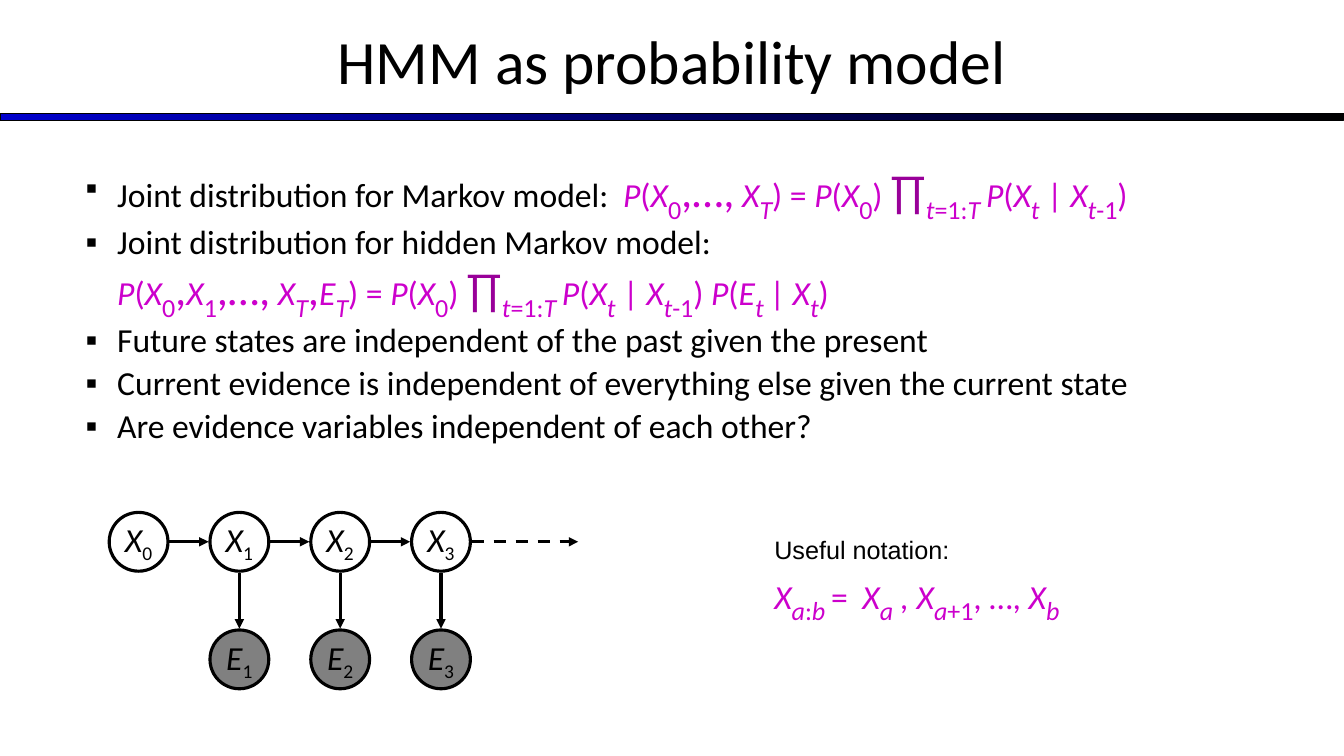
"""Build the slide that presents an HMM as a probability model."""
from lxml import etree
from pptx import Presentation
from pptx.dml import color as dml
from pptx.enum import dml as dash, shapes, text
from pptx.oxml import ns
from pptx.util import Pt

black, pink = "000000", "CC00CC"
looks = {
    "n": (black, 0, dict(size=Pt(24), name="Calibri", italic=False)),
    "v": (black, 0, dict(size=Pt(24), name="Calibri", italic=True)),
    "d": (black, -25000, dict(size=Pt(24), name="Calibri", italic=False)),
    "w": (black, 0, dict(size=Pt(18), name="Arial", italic=False)),
    "h": (black, 0, dict(size=Pt(44), name="Calibri", italic=False)),
    "i": (pink, 0, dict(size=Pt(24), name="Calibri", italic=True)),
    "r": (pink, 0, dict(size=Pt(24), name="Calibri", italic=False)),
    "b": (pink, 0, dict(size=Pt(32), name="Calibri", italic=False)),
    "s": (pink, -25000, dict(size=Pt(32), name="Calibri", italic=True)),
    "u": (pink, -25000, dict(size=Pt(32), name="Calibri", italic=False)),
    "p": ("990099", 0, dict(size=Pt(32), name="Calibri", italic=False)),
}


def paint(tint, code):
    tint.rgb = dml.RGBColor.from_string(code)


def write(par, marks):
    for mark in marks.split("~"):
        if mark == "/":
            par.add_line_break()
            etree.SubElement(par._p[-1], ns.qn("a:rPr"), sz="2400")
            continue
        run = par.add_run()
        run.text = mark[1:]
        code, base, form = looks[mark[0]]
        for key, val in form.items():
            setattr(run.font, key, val)
        paint(run.font.color, code)
        if base:
            run._r.get_or_add_rPr().set("baseline", str(base))


deck = Presentation()
deck.slide_width, deck.slide_height = Pt(960), Pt(540)
slide = deck.slides.add_slide(deck.slide_layouts[1])
title, body = slide.placeholders
draw = slide.shapes

bar = draw.add_shape(shapes.MSO_SHAPE.RECTANGLE, 0, Pt(81), Pt(960), Pt(5))
bar.shadow.inherit = False
bar.fill.gradient()
bar.fill.gradient_angle = 0
for stop, code in zip(bar.fill.gradient_stops, ("0000CC", black)):
    paint(stop.color, code)
paint(bar.line.color, black)
bar.line.width = Pt(0.75)

places = [(title, (0, -2, 960, 90)), (body, (18, 108, 894, 402))]
for box, spot in places:
    box.left, box.top, box.width, box.height = map(Pt, spot)
    box.text_frame.auto_size = text.MSO_AUTO_SIZE.NONE
title.text_frame.vertical_anchor = text.MSO_ANCHOR.MIDDLE
head = title.text_frame.paragraphs[0]
head.alignment = text.PP_ALIGN.CENTER
write(head, "hHMM as probability model")

chain = "iP~r(~iX~u0~r) ~p∏~st~u=1:~sT ~iP~r(~iX~st~r | ~iX~st~u-1~r)"
points = [
    "nJoint distribution for Markov model: ~w ~iP~r(~iX~u0~b,…,~i X~sT~r) = ~" + chain,
    "nJoint distribution for hidden Markov model:~/~iP~r(~iX~u0~b,~iX~u1~b,…,~i X~sT"
    "~b,~iE~sT~r) = ~" + chain + "~r ~iP~r(~iE~st ~r| ~iX~st~r)",
    "nFuture states are independent of the past given the present",
    "nCurrent evidence is independent of everything else given the current state",
    "nAre evidence variables independent of each other?",
]
frame = body.text_frame
frame.margin_top = Pt(9)
for k, marks in enumerate(points):
    par = frame.add_paragraph() if k else frame.paragraphs[0]
    par.line_spacing = 0.9
    par.space_before = Pt(4.8 if k else 0)
    props = par._p.get_or_add_pPr()
    props.set("marL", str(Pt(58.5)))
    props.set("indent", str(Pt(-22.5)))
    tint = etree.SubElement(props, ns.qn("a:buClr"))
    etree.SubElement(tint, ns.qn("a:srgbClr"), val=black)
    etree.SubElement(props, ns.qn("a:buChar"), char="▪")
    write(par, marks)

left, step, size, top, low = 78, 72, 42, 366, 450
mid = size / 2
nodes = [("X", k, top, "FFFFFF") for k in range(4)]
nodes += [("E", k, low, "808080") for k in range(1, 4)]
for name, k, y, code in nodes:
    node = draw.add_shape(shapes.MSO_SHAPE.OVAL, Pt(left + k * step), Pt(y), Pt(size), Pt(size))
    node.shadow.inherit = False
    node.fill.solid()
    paint(node.fill.fore_color, code)
    paint(node.line.color, black)
    node.line.width = Pt(2.25)
    frame = node.text_frame
    frame.word_wrap = False
    frame.vertical_anchor = text.MSO_ANCHOR.MIDDLE
    frame.paragraphs[0].alignment = text.PP_ALIGN.CENTER
    write(frame.paragraphs[0], f"v{name}~d{k}")

arrows = []
for k in range(4):
    x, y = left + k * step, top + mid
    arrows.append((x + size + 1, y, x + (step - 1 if k < 3 else 119), y))
    if k:
        arrows.append((x + mid, top + size + 1, x + mid, low - 1))
for ends in arrows:
    arrow = draw.add_connector(shapes.MSO_CONNECTOR.STRAIGHT, *map(Pt, ends))
    paint(arrow.line.color, black)
    arrow.line.width = Pt(2.25)
    if ends[2] - ends[0] > step:
        arrow.line.dash_style = dash.MSO_LINE.DASH
    etree.SubElement(arrow.line._get_or_add_ln(), ns.qn("a:tailEnd"), type="triangle")
    etree.SubElement(arrow._element.spPr, ns.qn("a:effectLst"))

note = draw.add_textbox(Pt(546), Pt(378), Pt(270), Pt(67.5)).text_frame
note.word_wrap = True
write(note.paragraphs[0], "wUseful notation:")
write(note.add_paragraph(),
      "iX~sa~u:~sb ~r= ~w ~iX~sa~i , X~sa~u+1~r, …, ~iX~sb")

deck.save("out.pptx")
